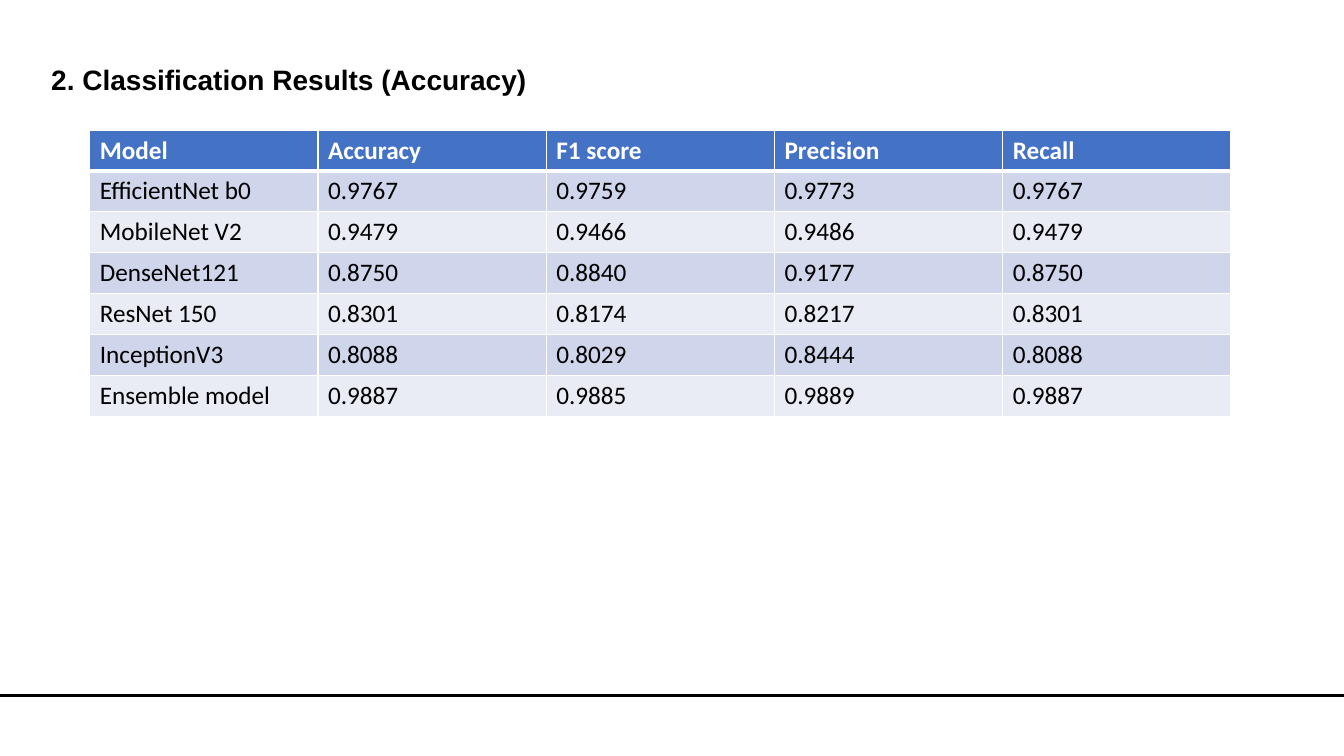
from lxml import etree
from pptx import Presentation
from pptx.dml.color import RGBColor
from pptx.enum.shapes import MSO_CONNECTOR
from pptx.oxml.ns import qn
from pptx.util import Inches, Pt

BLACK, WHITE, HEADER = "000000", "FFFFFF", "4472C4"
BANDS = ("E9EBF5", "CFD5EA")
RESULTS = [
    ("Model", "Accuracy", "F1 score", "Precision", "Recall"),
    ("EfficientNet b0", "0.9767", "0.9759", "0.9773", "0.9767"),
    ("MobileNet V2", "0.9479", "0.9466", "0.9486", "0.9479"),
    ("DenseNet121", "0.8750", "0.8840", "0.9177", "0.8750"),
    ("ResNet 150", "0.8301", "0.8174", "0.8217", "0.8301"),
    ("InceptionV3", "0.8088", "0.8029", "0.8444", "0.8088"),
    ("Ensemble model", "0.9887", "0.9885", "0.9889", "0.9887"),
]


def rgb(color):
    return RGBColor.from_string(color)


def set_font(p, name, size, color, bold):
    p.font.name = name
    p.font.size = Pt(size)
    p.font.color.rgb = rgb(color)
    p.font.bold = bold


def set_borders(cell, color, **widths):
    tc_pr = cell._tc.get_or_add_tcPr()
    for side in "LRTB":
        ln = etree.SubElement(tc_pr, qn("a:ln" + side), w=str(Pt(widths.get(side, 1))))
        fill = etree.SubElement(ln, qn("a:solidFill"))
        etree.SubElement(fill, qn("a:srgbClr"), val=color)


def add_footer_line(slide, left, top, width):
    line = slide.shapes.add_connector(
        MSO_CONNECTOR.STRAIGHT, Inches(left), Inches(top), Inches(left + width), Inches(top))
    line.line.color.rgb = rgb(BLACK)
    line.line.width = Pt(2)
    etree.SubElement(line._element.spPr, qn("a:effectLst"))


def add_title(slide, left, top, width, height, text):
    box = slide.shapes.add_textbox(Inches(left), Inches(top), Inches(width), Inches(height))
    tf = box.text_frame
    tf.word_wrap = True
    p = tf.paragraphs[0]
    p.text = text
    set_font(p, "Arial", 20, BLACK, True)


def add_results_table(slide, left, top, width, height, rows):
    table = slide.shapes.add_table(
        len(rows), len(rows[0]), Inches(left), Inches(top), Inches(width), Inches(height)).table
    for i, row in enumerate(rows):
        is_header = i == 0
        for j, text in enumerate(row):
            cell = table.cell(i, j)
            set_borders(cell, WHITE, T=3 if i == 1 else 1, B=3 if is_header else 1)
            cell.fill.solid()
            cell.fill.fore_color.rgb = rgb(HEADER if is_header else BANDS[i % 2])
            p = cell.text_frame.paragraphs[0]
            p.text = text
            set_font(p, "Calibri", 18, WHITE if is_header else BLACK, is_header)


def main():
    prs = Presentation()
    prs.slide_width, prs.slide_height = Inches(13.33), Inches(7.5)
    slide = prs.slides.add_slide(prs.slide_layouts[6])
    add_footer_line(slide, 0, 6.9, 13.33)
    add_title(slide, 0.41, 0.57, 6.68, 1.45, "2. Classification Results (Accuracy)")
    add_results_table(slide, 0.89, 1.29, 11.32, 2.84, RESULTS)
    prs.save("out.pptx")


if __name__ == "__main__":
    main()
